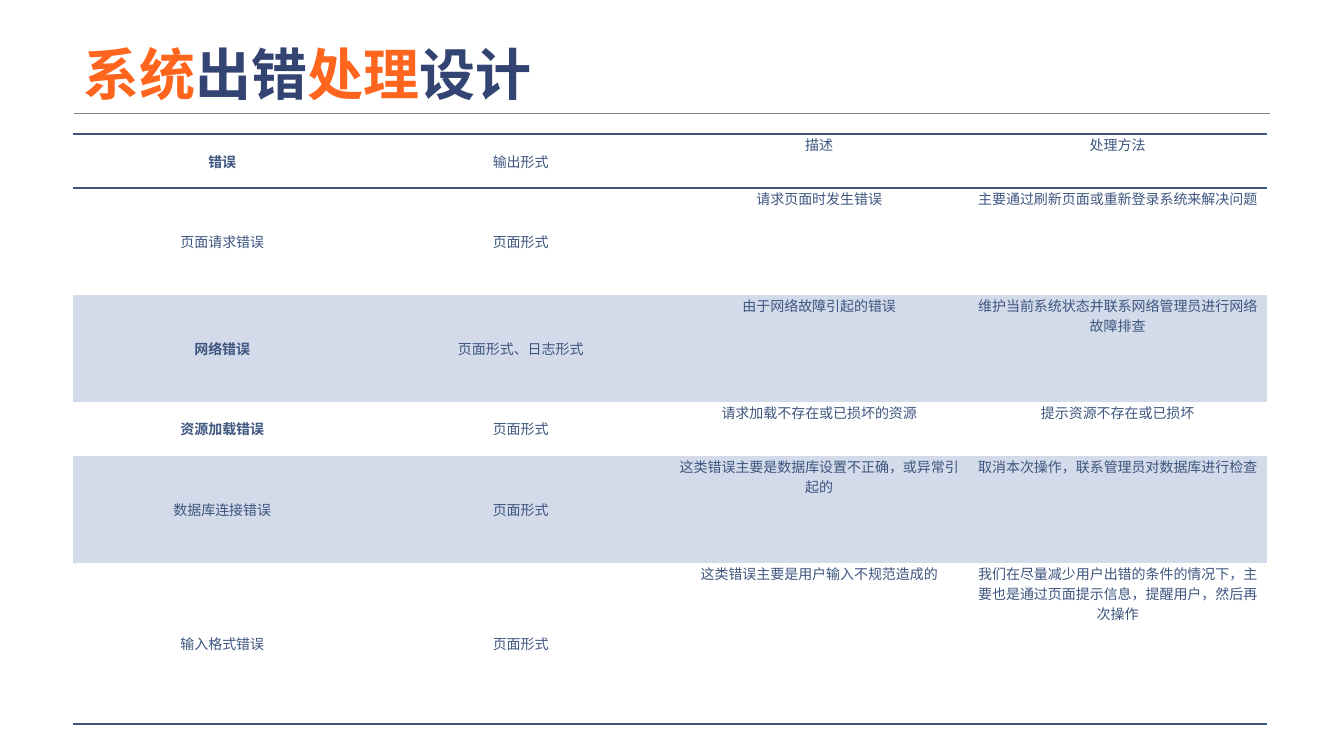
from pptx import Presentation, util as u
from pptx.dml.color import RGBColor
from pptx.enum import shapes, text
from pptx.oxml import ns
from lxml import etree

ORANGE = RGBColor(0xFF, 0x65, 0x1C)
NAVY = RGBColor(0x33, 0x43, 0x72)
SLATE = RGBColor(0x3D, 0x55, 0x7F)
GRAY = RGBColor(0x80, 0x80, 0x80)
WHITE = RGBColor(0xFF, 0xFF, 0xFF)
BAND = RGBColor(0xD3, 0xDB, 0xEA)

TITLE = [("系统", ORANGE), ("出错", NAVY), ("处理", ORANGE), ("设计", NAVY)]
ERRORS = [
    ("错误", "输出形式", "描述", "处理方法"),
    ("页面请求错误", "页面形式", "请求页面时发生错误",
     "主要通过刷新页面或重新登录系统来解决问题"),
    ("网络错误", "页面形式、日志形式", "由于网络故障引起的错误",
     "维护当前系统状态并联系网络管理员进行网络故障排查"),
    ("资源加载错误", "页面形式", "请求加载不存在或已损坏的资源",
     "提示资源不存在或已损坏"),
    ("数据库连接错误", "页面形式", "这类错误主要是数据库设置不正确，或异常引起的",
     "取消本次操作，联系管理员对数据库进行检查"),
    ("输入格式错误", "页面形式", "这类错误主要是用户输入不规范造成的",
     "我们在尽量减少用户出错的条件的情况下，主要也是通过页面提示信息，提醒用户，然后再次操作"),
]
ROW_HEIGHTS = [54, 107, 107, 54, 107, 161]
BOLD_ROWS = {0, 2, 3}
BANDED_ROWS = {2, 4}
RULES = {0: "TB", 1: "T", 5: "B"}


def px(n):
    return u.Emu(round(n * 914400 / 100.8))


def apply(target, values):
    for name, value in values.items():
        setattr(target, name, value)


class Deck:
    title_font = {"name": "Arial", "size": u.Pt(40), "bold": True}
    cell_font = {"name": "Noto Sans CJK SC", "size": u.Pt(10)}
    cell_margins = {"margin_left": px(7), "margin_right": px(7),
                    "margin_top": 0, "margin_bottom": 0}
    east_asian = "Noto Sans CJK SC"

    def __init__(self, width, height):
        self.prs = Presentation()
        apply(self.prs, {"slide_width": px(width), "slide_height": px(height)})
        self.s = self.prs.slides.add_slide(self.prs.slide_layouts[6])

    def run(self, p, words, color, font):
        r = p.add_run()
        r.text = words
        apply(r.font, font)
        r.font.color.rgb = color
        ea = etree.SubElement(r.font._element, ns.qn("a:ea"))
        ea.set("typeface", self.east_asian)

    def line(self, x1, y1, x2, y2, color, width):
        c = self.s.shapes.add_connector(
            shapes.MSO_CONNECTOR.STRAIGHT, px(x1), px(y1), px(x2), px(y2))
        c.line.color.rgb = color
        c.line.width = u.Pt(width)
        etree.SubElement(c._element.spPr, ns.qn("a:effectLst"))

    def title(self, x, y, w, h, parts):
        tf = self.s.shapes.add_textbox(px(x), px(y), px(w), px(h)).text_frame
        apply(tf, {"word_wrap": True,
                   "vertical_anchor": text.MSO_ANCHOR.BOTTOM})
        p = tf.paragraphs[0]
        p.line_spacing = 0.9
        for words, color in parts:
            self.run(p, words, color, self.title_font)

    def borders(self, cell, ruled):
        tc_pr = cell._tc.get_or_add_tcPr()
        for side in "LRTB":
            ln = etree.SubElement(tc_pr, ns.qn(f"a:ln{side}"))
            if side in ruled:
                ln.set("w", str(u.Pt(1.5)))
                fill = etree.SubElement(ln, ns.qn("a:solidFill"))
                etree.SubElement(fill, ns.qn("a:srgbClr")).set("val", str(SLATE))
            else:
                etree.SubElement(ln, ns.qn("a:noFill"))

    def cell(self, cell, words, bold, middle, fill, ruled):
        anchor = text.MSO_ANCHOR.MIDDLE if middle else text.MSO_ANCHOR.TOP
        apply(cell, {**self.cell_margins, "vertical_anchor": anchor})
        self.borders(cell, ruled)
        cell.fill.solid()
        cell.fill.fore_color.rgb = fill
        p = cell.text_frame.paragraphs[0]
        p.alignment = text.PP_ALIGN.CENTER
        self.run(p, words, SLATE, {**self.cell_font, "bold": bold})

    def table(self, x, y, w, heights, rows):
        t = self.s.shapes.add_table(len(rows), len(rows[0]), px(x), px(y),
                                    px(w), px(sum(heights))).table
        apply(t, {"first_row": False, "horz_banding": False})
        for i, (height, row) in enumerate(zip(heights, rows)):
            t.rows[i].height = px(height)
            fill = BAND if i in BANDED_ROWS else WHITE
            for j, words in enumerate(row):
                self.cell(t.cell(i, j), words, i in BOLD_ROWS and j == 0,
                          j < 2, fill, RULES.get(i, ""))


def main():
    deck = Deck(1344, 756)
    deck.line(74, 113, 1270, 113, GRAY, 0.25)
    deck.title(74, 0, 1196, 113, TITLE)
    deck.table(73, 134, 1194, ROW_HEIGHTS, ERRORS)
    deck.prs.save("out.pptx")


if __name__ == "__main__":
    main()
